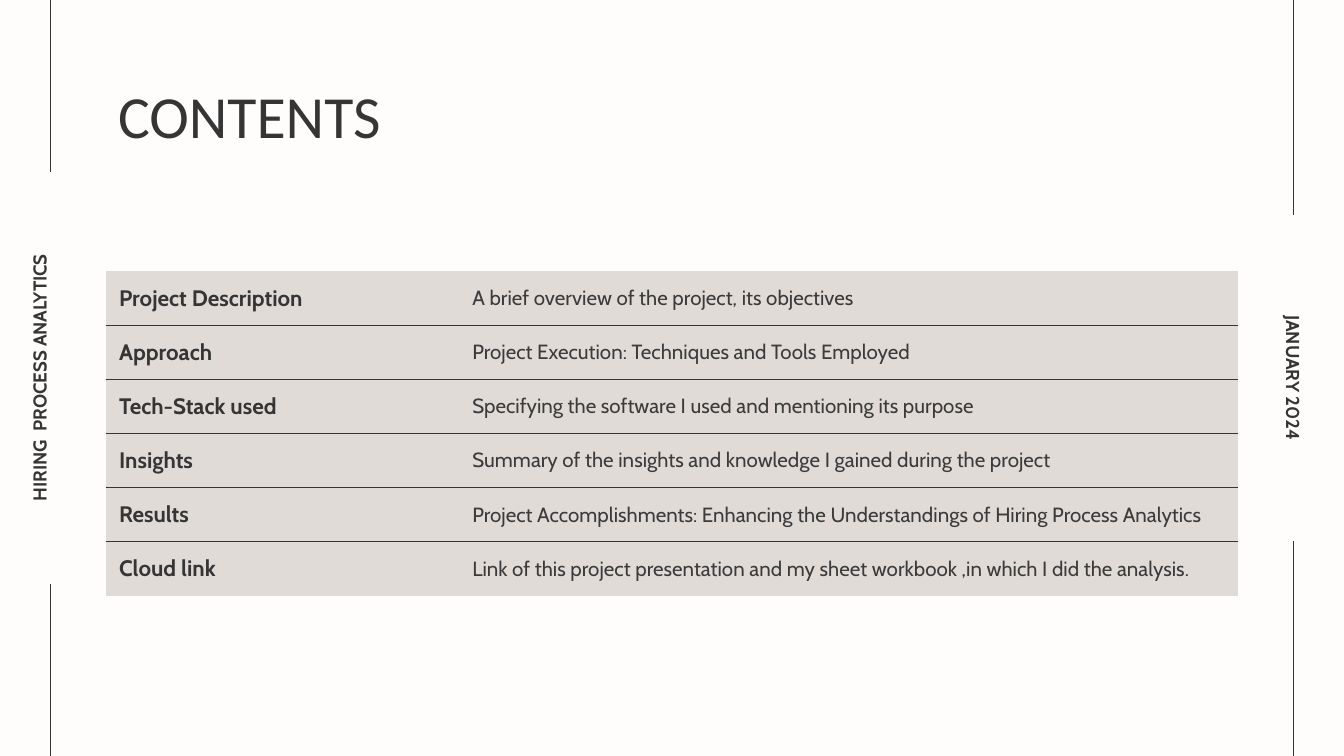
from lxml.etree import SubElement
from pptx import Presentation
from pptx.dml.color import RGBColor
from pptx.enum.shapes import MSO_CONNECTOR
from pptx.enum.text import MSO_ANCHOR, PP_ALIGN
from pptx.oxml.ns import qn
from pptx.util import Pt

INK = "353535"
GREY = "3B3B3B"
SAND = "E0DBD7"
PAPER = "FFFCFC"
PAD = 7.2

ROWS = [
    ("Project Description", "A brief overview of the project, its objectives"),
    ("Approach", "Project Execution: Techniques and Tools Employed"),
    ("Tech-Stack used", "Specifying the software I used and mentioning its purpose"),
    ("Insights", "Summary of the insights and knowledge I gained during the project"),
    ("Results", "Project Accomplishments: Enhancing the Understandings of Hiring Process Analytics"),
    ("Cloud link", "Link of this project presentation and my sheet workbook ,in which I did the analysis."),
]


def color(code):
    return RGBColor.from_string(code)


def write(frame, text, size=11, font="Cabin", ink=INK, bold=False, align=PP_ALIGN.LEFT):
    para = frame.paragraphs[0]
    para.alignment = align
    run = para.add_run()
    run.text = text
    run.font.size = Pt(size)
    run.font.name = font
    run.font.bold = bold
    run.font.color.rgb = color(ink)


class Deck:
    def __init__(self, width, height):
        self.show = Presentation()
        self.show.slide_width = Pt(width)
        self.show.slide_height = Pt(height)
        self.slide = self.show.slides.add_slide(self.show.slide_layouts[6])
        fill = self.slide.background.fill
        fill.solid()
        fill.fore_color.rgb = color(PAPER)

    def line(self, x, top, bottom):
        rule = self.slide.shapes.add_connector(
            MSO_CONNECTOR.STRAIGHT, Pt(x), Pt(top), Pt(x), Pt(bottom))
        rule.line.color.rgb = color(INK)
        rule.line.width = Pt(0.75)
        SubElement(rule._element.spPr, qn("a:effectLst"))

    def text(self, text, left, top, width, height, turn=0, anchor=MSO_ANCHOR.TOP, **style):
        box = self.slide.shapes.add_textbox(Pt(left), Pt(top), Pt(width), Pt(height))
        box.rotation = turn
        frame = box.text_frame
        frame.word_wrap = True
        frame.vertical_anchor = anchor
        frame.margin_left = frame.margin_right = Pt(PAD)
        frame.margin_top = frame.margin_bottom = Pt(PAD)
        write(frame, text, **style)

    def side(self, text, x, y, width, turn):
        height = 18.7
        self.text(text, x - width / 2, y - height / 2, width, height, turn,
                  MSO_ANCHOR.MIDDLE, size=10, bold=True, align=PP_ALIGN.CENTER)

    def edge(self, cell, side, shown):
        props = cell._tc.get_or_add_tcPr()
        border = SubElement(props, qn("a:" + side), w=str(Pt(0.75)))
        if shown:
            fill = SubElement(border, qn("a:solidFill"))
            SubElement(fill, qn("a:srgbClr"), val=INK)
        else:
            SubElement(border, qn("a:noFill"))

    def table(self, rows, left, top, widths, height):
        count = len(rows)
        frame = self.slide.shapes.add_table(
            count, len(widths), Pt(left), Pt(top), Pt(sum(widths)), Pt(height * count))
        grid = frame.table
        grid.first_row = grid.horz_banding = False
        for column, width in zip(grid.columns, widths):
            column.width = Pt(width)
        styles = [dict(size=12, bold=True), dict(size=11, ink=GREY)]
        for i, row in enumerate(rows):
            grid.rows[i].height = Pt(height)
            for j, text in enumerate(row):
                cell = grid.cell(i, j)
                cell.vertical_anchor = MSO_ANCHOR.MIDDLE
                cell.margin_left = cell.margin_right = Pt(PAD)
                cell.margin_top = cell.margin_bottom = Pt(PAD)
                write(cell.text_frame, text, **styles[j])
                self.edge(cell, "lnL", False)
                self.edge(cell, "lnR", False)
                self.edge(cell, "lnT", i > 0)
                self.edge(cell, "lnB", i < count - 1)
                cell.fill.solid()
                cell.fill.fore_color.rgb = color(SAND)


def main():
    deck = Deck(720, 405)
    for x, high, low in [(27, 92, 312.7), (693, 115, 290)]:
        deck.line(x, 0, high)
        deck.line(x, low, 405)
    deck.text("CONTENTS", 56.2, 35.3, 607.7, 45.4, size=32, font="Calibri")
    deck.table(ROWS, 56.6, 145.2, [189.2, 417.4], 29)
    deck.side("JANUARY 2024", 693, 202.3, 175, 90)
    deck.side("HIRING  PROCESS ANALYTICS", 21, 202.3, 220, 270)
    deck.show.save("out.pptx")


if __name__ == "__main__":
    main()
